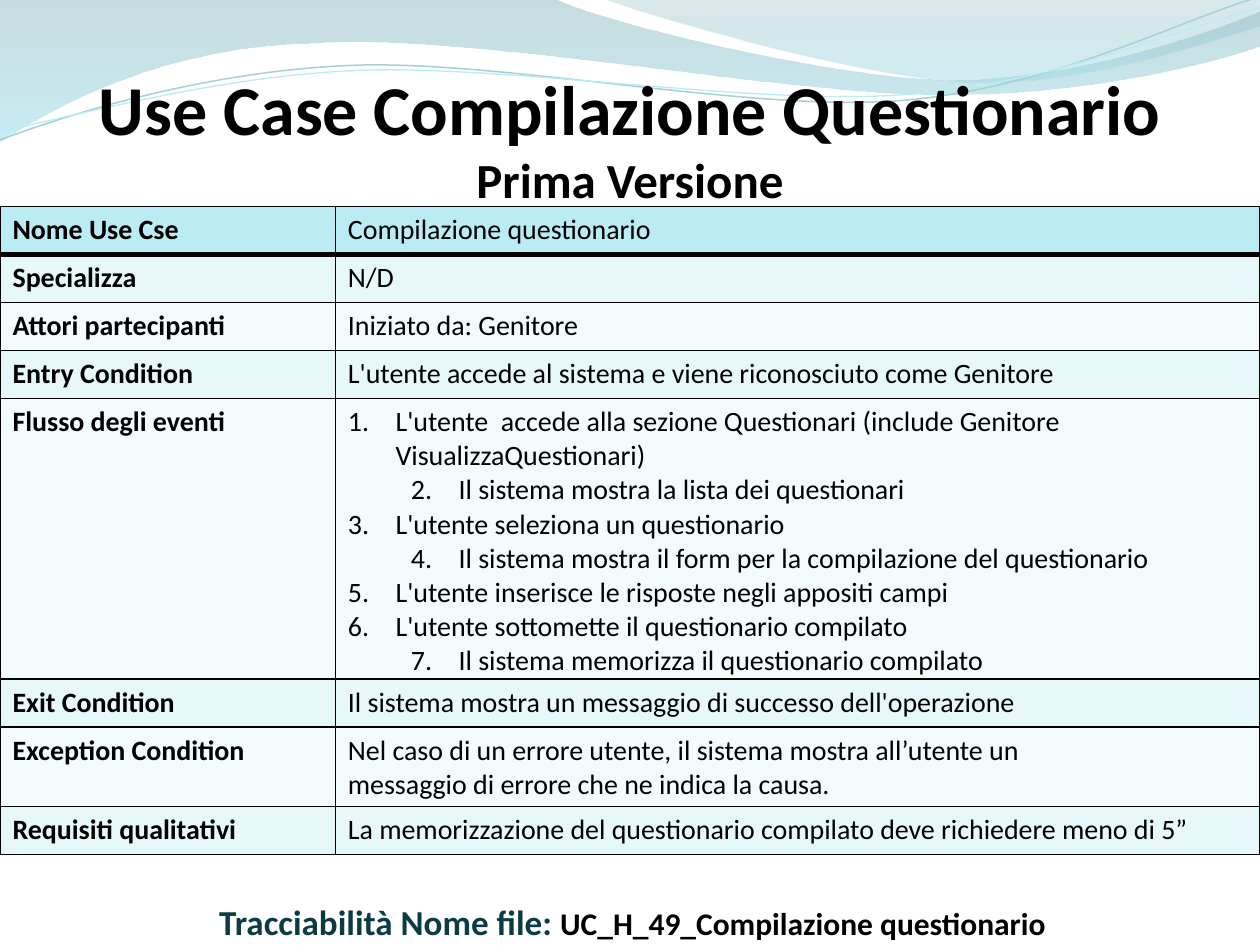
from math import cos, radians, sin

from lxml.etree import SubElement
from pptx import Presentation
from pptx.dml.color import RGBColor
from pptx.enum.text import MSO_ANCHOR as Anchor, MSO_AUTO_SIZE as AutoSize, PP_ALIGN as Align
from pptx.oxml import parse_xml
from pptx.oxml.ns import nsdecls, qn
from pptx.util import Cm, Pt

BLACK = RGBColor(0x00, 0x00, 0x00)
TEAL = RGBColor(0x0B, 0x3B, 0x44)
HEADER = RGBColor(0xBB, 0xEC, 0xF4)
BAND_DARK = RGBColor(0xE7, 0xF8, 0xFB)
BAND_LIGHT = RGBColor(0xF3, 0xFB, 0xFD)
LINE_DARK = RGBColor(0xA5, 0xD0, 0xD7)
WAVE_TOP = RGBColor(0x86, 0xB2, 0xB9)
WAVE_BOTTOM = RGBColor(0x9B, 0xE0, 0xEC)
CREST_TOP = RGBColor(0x84, 0xB3, 0xBB)
CREST_BOTTOM = RGBColor(0x9B, 0xD7, 0xE1)

WAVE = [
    [(0, 0)], [(11.18, -0.03)],
    [(12.09, 0.43), (16.87, 1.6), (19.25, 1.6)],
    [(21.67, 1.6), (24.33, 0.66), (25.4, 0.23)], [(25.43, 0.91)],
    [(24.97, 1.12), (22.1, 1.93), (18.95, 1.91)],
    [(15.8, 1.91), (9.7, 0.71), (6.53, 0.86)],
    [(3.28, 0.91), (1.17, 2.11), (-0.03, 2.87)], [(0, 0)],
]
CREST = [
    [(12.17, -0.03)],
    [(12.93, 0.28), (17.32, 1.57), (19.53, 1.65)],
    [(21.74, 1.75), (24.41, 0.81), (25.4, 0.53)], [(25.4, 0)], [(12.17, -0.03)],
]
UPPER_LINE = [
    [(0, 2.82)],
    [(1.22, 2.36), (4.01, 1.45), (7.04, 1.32)],
    [(10.03, 1.19), (15.06, 2.26), (18.11, 2.03)],
    [(21.16, 1.8), (23.83, 0.38), (25.35, -0.05)],
]
LOWER_LINE = [
    [(0, 2.64)],
    [(1.19, 2.44), (4.17, 1.55), (7.19, 1.42)],
    [(10.24, 1.3), (15.16, 2.13), (18.21, 1.91)],
    [(21.23, 1.7), (23.9, 0.53), (25.4, 0.15)],
]
TILT = 2.7
PIVOT = (12.68, 1.46)

FLOW = [
    (0, "L'utente  accede alla sezione Questionari (include Genitore VisualizzaQuestionari)"),
    (1, "2.\tIl sistema mostra la lista dei questionari"),
    (0, "3.\tL'utente seleziona un questionario"),
    (1, "4.\tIl sistema mostra il form per la compilazione del questionario"),
    (0, "5.\tL'utente inserisce le risposte negli appositi campi"),
    (0, "6.\tL'utente sottomette il questionario compilato"),
    (1, "7.\tIl sistema memorizza il questionario compilato"),
]
ROWS = [
    ("Nome Use Cse", ["Compilazione questionario"], 0.97),
    ("Specializza", ["N/D"], 0.97),
    ("Attori partecipanti", ["Iniziato da: Genitore"], 0.97),
    ("Entry Condition", ["L'utente accede al sistema e viene riconosciuto come Genitore"], 0.96),
    ("Flusso degli eventi", FLOW, 5.66),
    ("Exit Condition", [(0, "Il sistema mostra un messaggio di successo dell'operazione")], 0.97),
    ("Exception Condition", [(0, "Nel caso di un errore utente, il sistema mostra all’utente un"),
                             (0, "messaggio di errore che ne indica la causa.")], 1.6),
    ("Requisiti qualitativi",
     [(0, "La memorizzazione del questionario compilato deve richiedere meno di 5”")], 0.97),
]


def tilt(point):
    x, y = point[0] - PIVOT[0], point[1] - PIVOT[1]
    c, s = cos(radians(TILT)), sin(radians(TILT))
    return PIVOT[0] + x * c - y * s, PIVOT[1] + x * s + y * c


class SlideBuilder:
    font = "Calibri"
    hanging = Cm(0.96)
    nesting = Cm(1.27)

    def __init__(self, slide):
        self.slide = slide

    def outline(self, steps, close):
        steps = [[(Cm(x), Cm(y)) for x, y in step] for step in steps]
        start, *rest = [step[-1] for step in steps]
        builder = self.slide.shapes.build_freeform(*start)
        builder.add_line_segments(rest, close=close)
        sp = builder.convert_to_shape()
        sp.shadow.inherit = False
        segments = list(sp._element.iter(qn("a:lnTo")))
        for segment, step in zip(segments, steps[1:]):
            if len(step) == 3:
                bezier = segment.makeelement(qn("a:cubicBezTo"))
                for x, y in step:
                    SubElement(bezier, qn("a:pt"), x=str(x - sp.left), y=str(y - sp.top))
                segment.getparent().replace(segment, bezier)
        return sp

    def wave(self, steps, stops):
        sp = self.outline(steps, True)
        sp.line.fill.background()
        sp.fill.gradient()
        sp.fill.gradient_angle = 270
        for stop, (position, color, _) in zip(sp.fill.gradient_stops, stops):
            stop.position = position
            stop.color.rgb = color
        for clr, (_, _, opacity) in zip(sp._element.iter(qn("a:srgbClr")), stops):
            SubElement(clr, qn("a:alpha"), val=str(opacity * 1000))

    def curve(self, steps, color, width):
        sp = self.outline([[tilt(point) for point in step] for step in steps], False)
        sp.rotation = -TILT
        sp.fill.background()
        sp.line.color.rgb = color
        sp.line.width = Pt(width)

    def run(self, p, text, size, color=BLACK, bold=False):
        r = p.add_run()
        r.text = text
        r.font.name = self.font
        r.font.size = Pt(size)
        r.font.bold = bold
        r.font.color.rgb = color

    def text(self, box, paragraphs, align, wrap):
        tf = self.slide.shapes.add_textbox(*(Cm(v) for v in box)).text_frame
        tf.word_wrap = wrap
        tf.auto_size = AutoSize.SHAPE_TO_FIT_TEXT
        for i, runs in enumerate(paragraphs):
            p = tf.add_paragraph() if i else tf.paragraphs[0]
            p.alignment = align
            for text, size, color in runs:
                self.run(p, text, size, color, True)

    def indent(self, p, level, numbered):
        p.level = level
        pPr = p._p.get_or_add_pPr()
        pPr.set("marL", str(self.hanging + level * self.nesting))
        pPr.set("indent", str(-self.hanging))
        if numbered:
            SubElement(pPr, qn("a:buFont"), typeface=self.font)
            SubElement(pPr, qn("a:buAutoNum"), type="arabicPeriod")

    def cell(self, cell, items, fill, bold, top, bottom):
        cell.fill.solid()
        cell.fill.fore_color.rgb = fill
        cell.vertical_anchor = Anchor.TOP
        cell.margin_bottom = 0
        tf = cell.text_frame
        for i, item in enumerate(items):
            p = tf.add_paragraph() if i else tf.paragraphs[0]
            if isinstance(item, tuple):
                level, item = item
                self.indent(p, level, items is FLOW and i == 0)
            self.run(p, item, 16, bold=bold)
        tcPr = cell._tc.get_or_add_tcPr()
        for i, (side, width) in enumerate(zip("LRTB", (1, 1, top, bottom))):
            tcPr.insert(i, parse_xml(
                f'<a:ln{side} {nsdecls("a")} w="{Pt(width)}"><a:solidFill>'
                f'<a:srgbClr val="{BLACK}"/></a:solidFill></a:ln{side}>'))

    def table(self, left, top, widths, rows):
        height = sum(row[2] for row in rows)
        table = self.slide.shapes.add_table(
            len(rows), len(widths), Cm(left), Cm(top), Cm(sum(widths)), Cm(height)).table
        table.first_row = table.horz_banding = False
        for column, width in zip(table.columns, widths):
            column.width = Cm(width)
        for i, (label, items, row_height) in enumerate(rows):
            table.rows[i].height = Cm(row_height)
            fill = HEADER if i == 0 else BAND_DARK if i % 2 else BAND_LIGHT
            edges = (3 if i == 1 else 1, 3 if i == 0 else 1)
            self.cell(table.cell(i, 0), [label], fill, True, *edges)
            self.cell(table.cell(i, 1), items, fill, False, *edges)


def main():
    prs = Presentation()
    prs.slide_width, prs.slide_height = Cm(25.4), Cm(19.05)
    s = SlideBuilder(prs.slides.add_slide(prs.slide_layouts[6]))
    s.wave(WAVE, [(0, WAVE_TOP, 45), (1, WAVE_BOTTOM, 55)])
    s.wave(CREST, [(0, CREST_TOP, 30), (0.8, CREST_BOTTOM, 45)])
    s.curve(UPPER_LINE, LINE_DARK, 0.85)
    s.curve(LOWER_LINE, HEADER, 0.75)
    s.text((0, 1.2, 25.4, 3.94), [[("Use Case Compilazione Questionario", 40, BLACK)],
                                  [("Prima Versione", 28, BLACK)]], Align.CENTER, True)
    s.table(0, 4.16, (6.76, 18.64), ROWS)
    s.text((4.17, 18.03, 17.3, 1.12), [[("Tracciabilità Nome file: ", 20, TEAL),
                                        ("UC_H_49_Compilazione questionario", 18, BLACK)]],
           Align.LEFT, False)
    prs.save("out.pptx")


if __name__ == "__main__":
    main()
